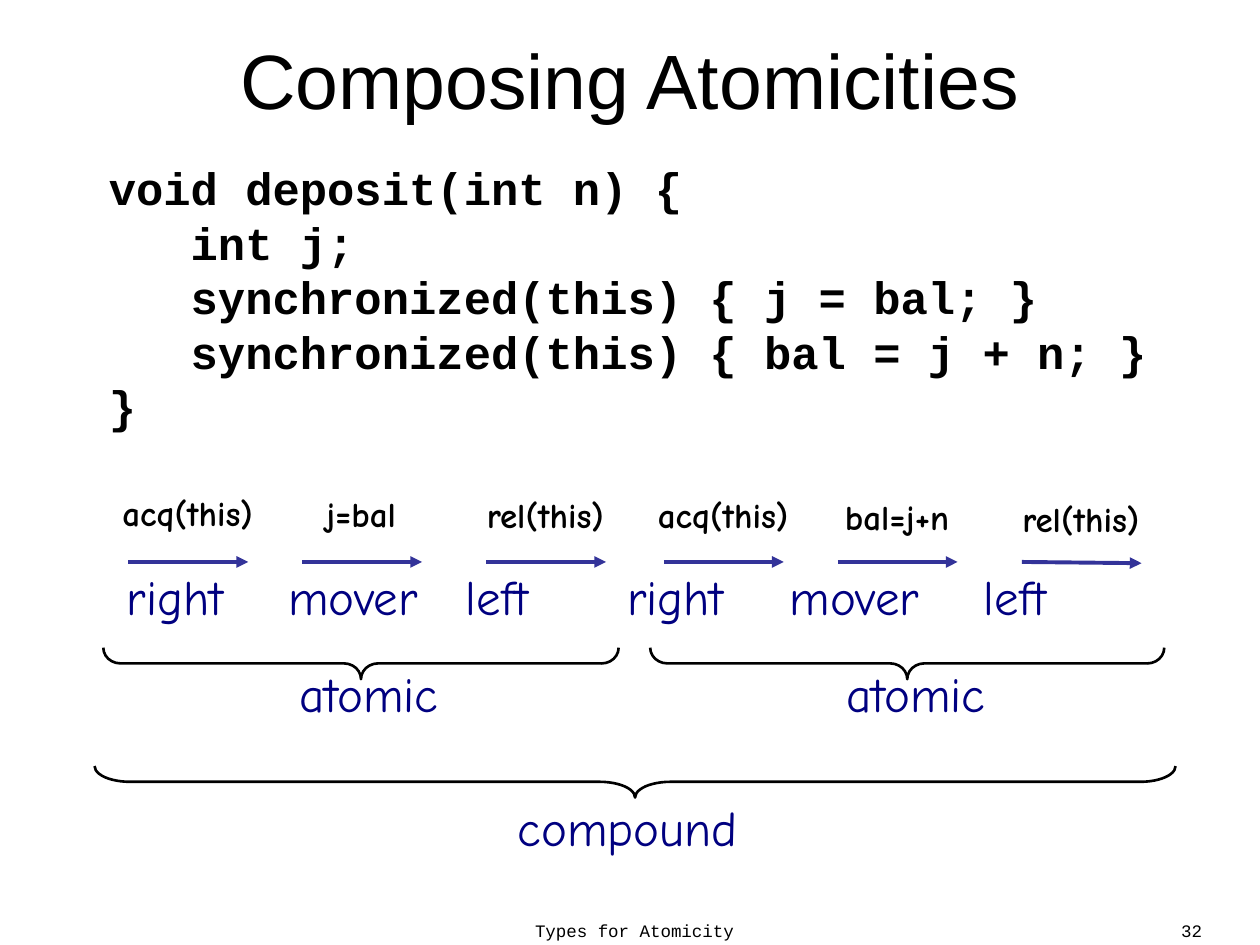
"""Build the slide on composing atomicities of a deposit method."""
from dataclasses import dataclass

from lxml import etree
from pptx import Presentation
from pptx.dml.color import RGBColor
from pptx.enum.shapes import MSO_CONNECTOR, MSO_SHAPE
from pptx.enum.text import MSO_ANCHOR, MSO_AUTO_SIZE, PP_ALIGN
from pptx.oxml.ns import qn
from pptx.slide import Slide
from pptx.text.text import TextFrame
from pptx.util import Inches, Pt

BLACK = RGBColor(0x00, 0x00, 0x00)
NAVY = RGBColor(0x00, 0x00, 0x80)
INDIGO = RGBColor(0x33, 0x33, 0x99)
LEFT, CENTER, RIGHT = PP_ALIGN.LEFT, PP_ALIGN.CENTER, PP_ALIGN.RIGHT
FIXED, GROW = MSO_AUTO_SIZE.NONE, MSO_AUTO_SIZE.SHAPE_TO_FIT_TEXT
MIDDLE = MSO_ANCHOR.MIDDLE
STRAIGHT = MSO_CONNECTOR.STRAIGHT
BRACE = MSO_SHAPE.RIGHT_BRACE
HAND, MONO, SANS = "Comic Neue", "Courier New", "Arial"

ARROW_TOP = 4.46
ARROW_LENGTH = 0.95
BRACE_DEPTH = 0.25
CODE = """  void deposit(int n) {
     int j;
     synchronized(this) { j = bal; }
     synchronized(this) { bal = j + n; }
  }"""
MOVERS = "right\tmover\tleft\tright\tmover\tleft"
MOVER_TABS = (1.28, 2.69, 3.97, 5.26, 6.8)


@dataclass(frozen=True)
class Step:
    text: str
    left: float
    top: float
    width: float
    arrow_left: float
    arrow_drop: float = 0


@dataclass(frozen=True)
class Label:
    text: str
    left: float
    top: float
    width: float
    height: float
    size: int
    font: str = HAND
    color: RGBColor = NAVY
    align: PP_ALIGN = LEFT
    bold: bool = False
    wrap: bool = False


@dataclass(frozen=True)
class Brace:
    left: float
    top: float
    length: float
    curve: float


STEPS = (
    Step("acq(this)", 0.84, 3.85, 1.3, 1.02),
    Step("j=bal", 2.44, 3.86, 0.85, 2.4),
    Step("rel(this)", 3.73, 3.87, 1.2, 3.86),
    Step("acq(this)", 5.09, 3.87, 1.3, 5.27),
    Step("bal=j+n", 6.57, 3.88, 1.1, 6.65),
    Step("rel(this)", 7.98, 3.9, 1.2, 8.11, 0.01),
)
LABELS = (
    Label("atomic", 2.28, 5.22, 1.4, 0.57, 28),
    Label("atomic", 6.62, 5.22, 1.4, 0.57, 28),
    Label("compound", 4.01, 6.28, 2.05, 0.57, 28),
    Label("Types for Atomicity", 2.48, 7.25, 5.11, 0.52, 10, MONO, BLACK, CENTER, wrap=True),
    Label("32", 7.31, 7.25, 2.33, 0.52, 10, MONO, BLACK, RIGHT, wrap=True),
)
BRACES = (
    Brace(0.82, 5.14, 4.09, 0.54),
    Brace(5.16, 5.14, 4.08, 0.54),
    Brace(0.75, 6.08, 8.58, 1.12),
)


def style_text(frame: TextFrame, font: str, size: int, color: RGBColor,
               align: PP_ALIGN, bold: bool = False) -> None:
    for para in frame.paragraphs:
        para.alignment = align
        for span in para.runs:
            span.font.name = font
            span.font.size = Pt(size)
            span.font.bold = bold
            span.font.color.rgb = color


def add_label(page: Slide, label: Label) -> TextFrame:
    box = page.shapes.add_textbox(Inches(label.left), Inches(label.top),
                                  Inches(label.width), Inches(label.height))
    frame = box.text_frame
    frame.text = label.text
    frame.word_wrap = label.wrap
    frame.auto_size = FIXED if label.font == MONO else GROW
    style_text(frame, label.font, label.size, label.color, label.align, label.bold)
    return frame


def add_step(page: Slide, step: Step) -> None:
    add_label(page, Label(step.text, step.left, step.top, step.width, 0.44, 20,
                          color=BLACK, align=CENTER, bold=True))
    arrow = page.shapes.add_connector(
        STRAIGHT, Inches(step.arrow_left), Inches(ARROW_TOP),
        Inches(step.arrow_left + ARROW_LENGTH), Inches(ARROW_TOP + step.arrow_drop))
    arrow.line.color.rgb = INDIGO
    arrow.line.width = Pt(2.25)
    etree.SubElement(arrow.line._get_or_add_ln(), qn("a:tailEnd"), type="triangle")
    etree.SubElement(arrow._element.spPr, qn("a:effectLst"))


def add_brace(page: Slide, brace: Brace) -> None:
    left = brace.left + (brace.length - BRACE_DEPTH) / 2
    top = brace.top - (brace.length - BRACE_DEPTH) / 2
    shape = page.shapes.add_shape(BRACE, Inches(left), Inches(top),
                                  Inches(BRACE_DEPTH), Inches(brace.length))
    shape.rotation = 90
    shape.adjustments[0] = brace.curve
    shape.shadow.inherit = False
    shape.fill.background()
    shape.line.color.rgb = BLACK
    shape.line.width = Pt(1.5)


def add_movers(page: Slide) -> None:
    frame = add_label(page, Label(MOVERS, 0.91, 4.45, 8.56, 0.57, 28, wrap=True))
    properties = frame.paragraphs[0]._p.get_or_add_pPr()
    stops = etree.SubElement(properties, qn("a:tabLst"))
    for position in MOVER_TABS:
        etree.SubElement(stops, qn("a:tab"), pos=str(Inches(position)), algn="l")


def fill_title(page: Slide) -> None:
    title = page.shapes.title
    title.left, title.top = Inches(0.5), Inches(0)
    title.width, title.height = Inches(9), Inches(1.25)
    frame = title.text_frame
    frame.text = "Composing Atomicities"
    frame.auto_size = FIXED
    frame.vertical_anchor = MIDDLE
    style_text(frame, SANS, 44, BLACK, CENTER)


def fill_code(page: Slide) -> None:
    body = page.placeholders[1]
    body.left, body.top = Inches(0.33), Inches(1.29)
    body.width, body.height = Inches(9.42), Inches(3.75)
    frame = body.text_frame
    frame.text = CODE
    frame.auto_size = FIXED
    style_text(frame, MONO, 26, BLACK, LEFT, True)
    for index, para in enumerate(frame.paragraphs):
        para.line_spacing = 0.84
        para.space_before = Pt(5 if index else 0)
        properties = para._p.get_or_add_pPr()
        properties.set("marL", str(Inches(0.26)))
        properties.set("indent", str(Inches(-0.26)))
        etree.SubElement(properties, qn("a:buNone"))


def main() -> None:
    deck = Presentation()
    deck.slide_width, deck.slide_height = Inches(10), Inches(7.5)
    page = deck.slides.add_slide(deck.slide_layouts[1])
    fill_title(page)
    fill_code(page)
    for step in STEPS:
        add_step(page, step)
    add_movers(page)
    for brace in BRACES:
        add_brace(page, brace)
    for label in LABELS:
        add_label(page, label)
    deck.save("out.pptx")


if __name__ == "__main__":
    main()
